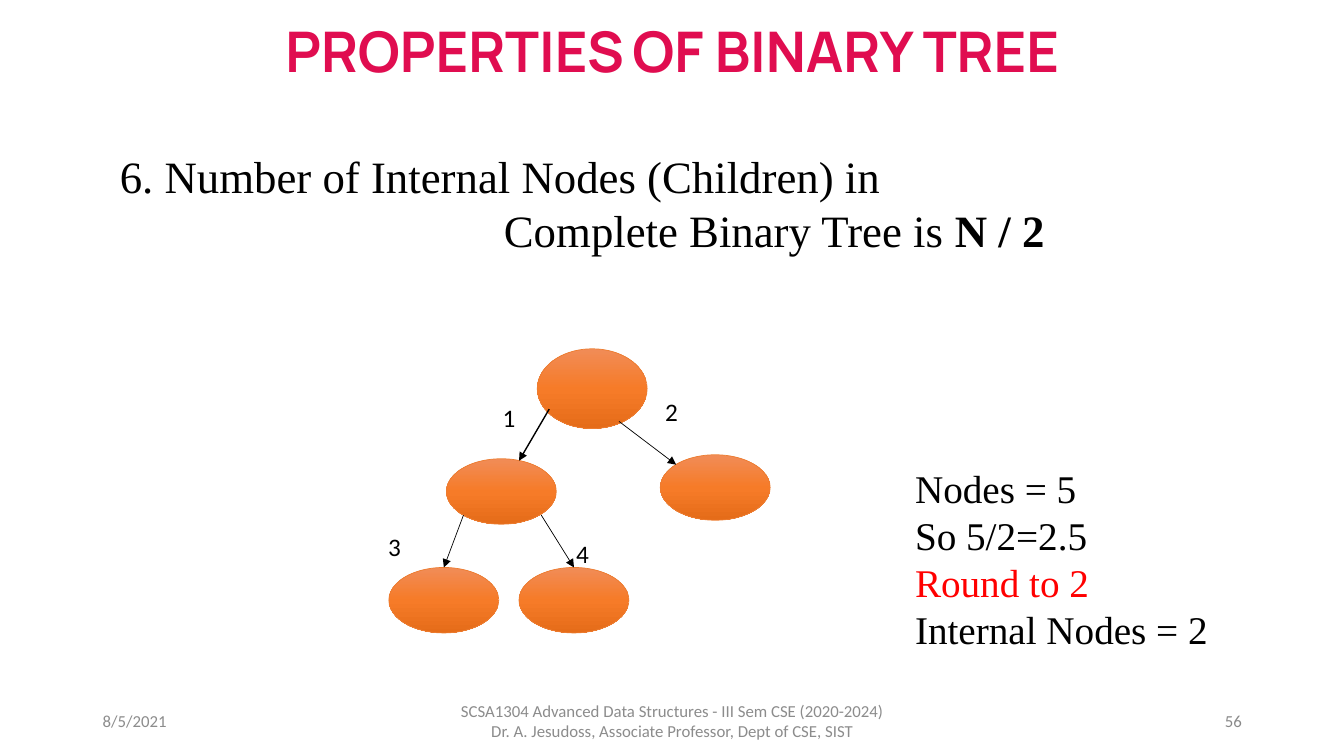
from copy import deepcopy
from dataclasses import dataclass
from typing import Optional

from pptx import Presentation
from pptx.dml.color import RGBColor
from pptx.enum.shapes import MSO_CONNECTOR, MSO_SHAPE
from pptx.enum.text import MSO_ANCHOR, PP_ALIGN
from pptx.oxml.ns import qn
from pptx.shapes.autoshape import Shape
from pptx.slide import Slide
from pptx.util import Cm, Pt
from lxml.etree import SubElement


@dataclass(frozen=True)
class Theme:
    serif: str = "Times New Roman"
    sans: str = "Calibri"
    display: str = "Manrope"
    black: str = "000000"
    accent: str = "E00D50"
    warning: str = "FF0000"
    footer: str = "8C8C8C"
    page_number: str = "898989"
    node_line: str = "ED7D31"
    node_gradient: tuple = ((0, "F18C57"), (0.5, "F67B28"), (1, "E56C19"))
    title_size: int = 40
    gap_size: int = 24
    statement_size: int = 32
    result_size: int = 28
    label_size: int = 18
    footer_size: int = 12


THEME = Theme()


@dataclass(frozen=True)
class Span:
    text: str
    font: str
    size: int
    color: str = THEME.black
    bold: bool = False


@dataclass(frozen=True)
class Paragraph:
    spans: tuple[Span, ...]
    indent: float = 0


@dataclass(frozen=True)
class TextBlock:
    left: float
    top: float
    width: float
    height: float
    paragraphs: tuple[Paragraph, ...]
    align: PP_ALIGN = PP_ALIGN.LEFT
    anchor: MSO_ANCHOR = MSO_ANCHOR.TOP


@dataclass(frozen=True)
class Node:
    name: str
    left: float
    top: float
    height: float = 1.65


@dataclass(frozen=True)
class Edge:
    start: tuple[float, float]
    end: tuple[float, float]
    weight: float = 0.5
    top_of: Optional[str] = None


NODE_WIDTH = 2.77
NODES = (
    Node("root", 13.54, 8.79, 2.01),
    Node("right", 16.64, 11.46),
    Node("left", 11.25, 11.56),
    Node("left leaf", 9.8, 14.3),
    Node("right leaf", 13.08, 14.3),
)
EDGES = (
    Edge((13.84, 10.31), (13.08, 11.61), 1),
    Edge((15.6, 10.62), (17.04, 11.71)),
    Edge((11.68, 12.98), (11.2, 14.3), top_of="left leaf"),
    Edge((13.64, 12.98), (14.48, 14.3), top_of="right leaf"),
)
EDGE_LABELS = (
    ("1", 12.42, 10.01), ("2", 16.51, 9.86), ("3", 9.53, 13.26), ("4", 14.27, 13.44),
)


def line_of(text: str, font: str, size: int, color: str = THEME.black) -> Paragraph:
    return Paragraph((Span(text, font, size, color),))


def statement(text: str, bold: bool = False) -> Span:
    return Span(text, THEME.serif, THEME.statement_size, bold=bold)


def result(text: str, color: str = THEME.black) -> Paragraph:
    return line_of(text, THEME.serif, THEME.result_size, color)


def title_span(text: str) -> Span:
    return Span(text, THEME.display, THEME.title_size, THEME.accent, True)


def footer(left: float, width: float, align: PP_ALIGN, *lines: str,
           color: str = THEME.footer) -> TextBlock:
    paragraphs = tuple(line_of(line, THEME.sans, THEME.footer_size, color) for line in lines)
    return TextBlock(left, 17.65, width, 1.02, paragraphs, align, MSO_ANCHOR.MIDDLE)


TEXT_BLOCKS = (
    TextBlock(2.77, 3.63, 31.09, 4.7, (
        Paragraph((statement("6. Number of Internal Nodes (Children) in"),)),
        Paragraph((statement("Complete Binary Tree is "), statement("N / 2", True)), 9.68),
    )),
    TextBlock(22.81, 11.58, 9.09, 5.05, (
        result("Nodes = 5"),
        result("So 5/2=2.5"),
        result("Round to 2", THEME.warning),
        result("Internal Nodes = 2"),
    )),
    *(TextBlock(left, top, 1.88, 1.02, (line_of(text, THEME.sans, THEME.label_size),))
      for text, left, top in EDGE_LABELS),
    TextBlock(5.74, 0.28, 22.4, 1.96, (Paragraph((
        title_span("PROPERTIES"),
        Span(" ", THEME.serif, THEME.gap_size, bold=True),
        title_span("OF BINARY TREE"),
    )),), PP_ALIGN.CENTER),
    footer(2.34, 7.62, PP_ALIGN.LEFT, "8/5/2021"),
    footer(11.23, 11.43, PP_ALIGN.CENTER,
           "SCSA1304 Advanced Data Structures - III Sem CSE (2020-2024)",
           "Dr. A. Jesudoss, Associate Professor, Dept of CSE, SIST"),
    footer(23.93, 7.62, PP_ALIGN.RIGHT, "56", color=THEME.page_number),
)


def add_text(page: Slide, block: TextBlock) -> None:
    box = page.shapes.add_textbox(Cm(block.left), Cm(block.top), Cm(block.width), Cm(block.height))
    frame = box.text_frame
    frame.word_wrap = True
    frame.vertical_anchor = block.anchor
    for index, content in enumerate(block.paragraphs):
        para = frame.add_paragraph() if index else frame.paragraphs[0]
        para.alignment = block.align
        if content.indent:
            para._p.get_or_add_pPr().set("marL", str(Cm(content.indent)))
        for span in content.spans:
            run = para.add_run()
            run.text = span.text
            run.font.name = span.font
            run.font.size = Pt(span.size)
            run.font.bold = span.bold
            run.font.color.rgb = RGBColor.from_string(span.color)


def add_node(page: Slide, node: Node) -> Shape:
    oval = page.shapes.add_shape(MSO_SHAPE.OVAL, Cm(node.left), Cm(node.top),
                                 Cm(NODE_WIDTH), Cm(node.height))
    oval.shadow.inherit = False
    oval.fill.gradient()
    oval.fill.gradient_angle = 270
    stop_list = oval._element.spPr.find(".//" + qn("a:gsLst"))
    stop_list.insert(1, deepcopy(stop_list[0]))
    for stop, (position, color) in zip(oval.fill.gradient_stops, THEME.node_gradient):
        stop.position = position
        stop.color.rgb = RGBColor.from_string(color)
    oval.line.color.rgb = RGBColor.from_string(THEME.node_line)
    oval.line.width = Pt(0.5)
    return oval


def add_edge(page: Slide, edge: Edge, ovals: dict[str, Shape]) -> None:
    arrow = page.shapes.add_connector(MSO_CONNECTOR.STRAIGHT, *map(Cm, edge.start + edge.end))
    if edge.top_of:
        arrow.end_connect(ovals[edge.top_of], 0)
    arrow.line.color.rgb = RGBColor.from_string(THEME.black)
    arrow.line.width = Pt(edge.weight)
    SubElement(arrow.line._get_or_add_ln(), qn("a:tailEnd"), type="triangle")
    SubElement(arrow._element.spPr, qn("a:effectLst"))


def main() -> None:
    deck = Presentation()
    deck.slide_width, deck.slide_height = Cm(33.87), Cm(19.05)
    page = deck.slides.add_slide(deck.slide_layouts[6])
    ovals = {node.name: add_node(page, node) for node in NODES}
    for edge in EDGES:
        add_edge(page, edge, ovals)
    for block in TEXT_BLOCKS:
        add_text(page, block)
    deck.save("out.pptx")


if __name__ == "__main__":
    main()
